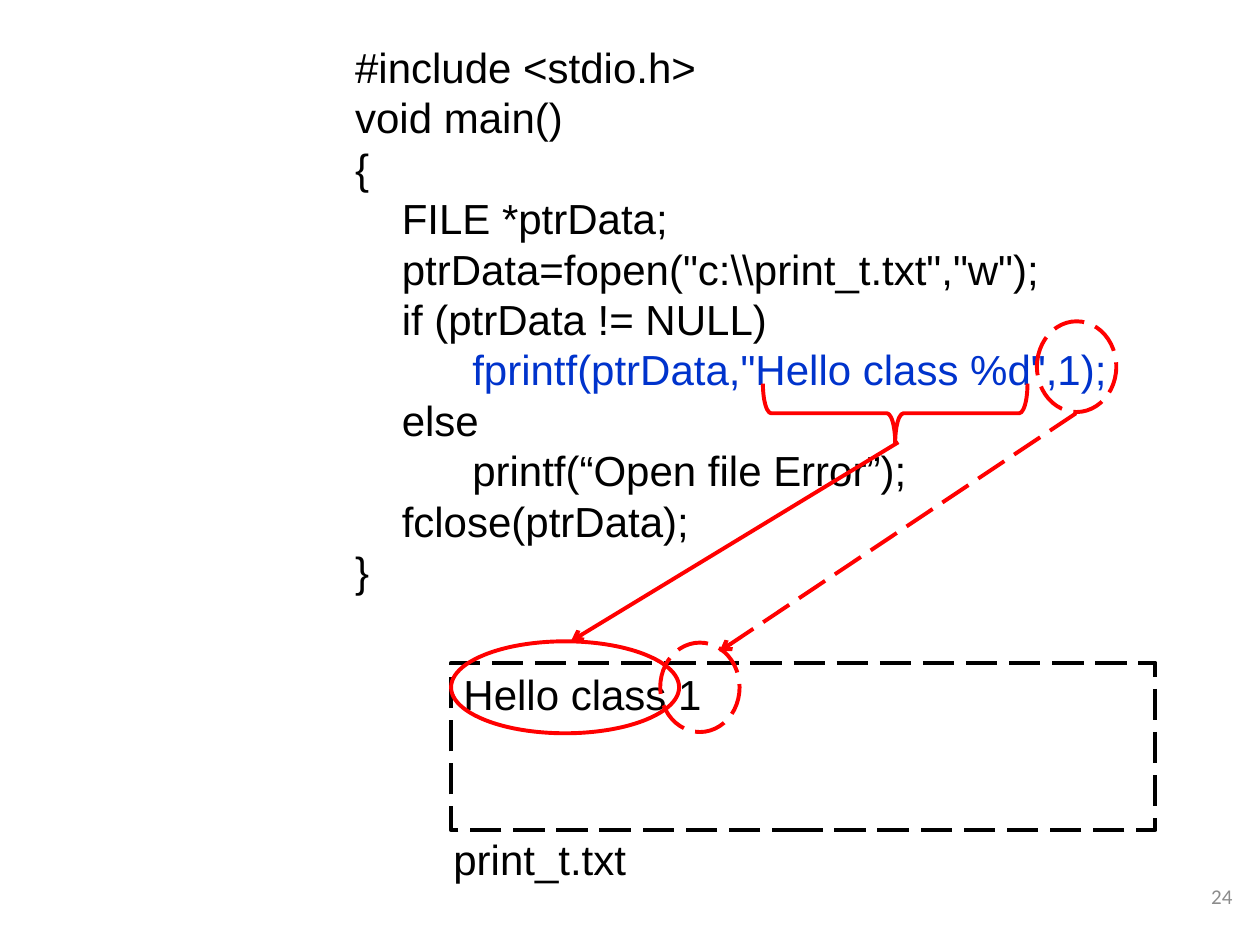
from dataclasses import dataclass

from lxml.etree import SubElement
from pptx import Presentation
from pptx.dml.color import RGBColor
from pptx.enum.dml import MSO_LINE_DASH_STYLE as Dash
from pptx.enum.shapes import MSO_CONNECTOR as Connector, MSO_SHAPE as Shape
from pptx.enum.text import MSO_ANCHOR as Anchor, PP_ALIGN as Align
from pptx.oxml.ns import qn
from pptx.util import Inches, Pt


@dataclass(frozen=True)
class Theme:
    """Colours, fonts and sizes of the slide."""
    ink: RGBColor = RGBColor(0, 0, 0)
    paper: RGBColor = RGBColor(255, 255, 255)
    call: RGBColor = RGBColor(0x00, 0x33, 0xCC)
    mark: RGBColor = RGBColor(255, 0, 0)
    muted: RGBColor = RGBColor(0x8C, 0x8C, 0x8C)
    code_font: str = "Arial"
    number_font: str = "Calibri"
    code_size: float = 24
    number_size: float = 12
    line_width: float = 2.25


THEME = Theme()
INDENTS = (0, 0.37, 0.93)

# Indent level, code, colour
CODE = [
    (0, "#include <stdio.h>", THEME.ink),
    (0, "void main()", THEME.ink),
    (0, "{", THEME.ink),
    (1, "FILE *ptrData;", THEME.ink),
    (1, 'ptrData=fopen("c:\\\\print_t.txt","w");', THEME.ink),
    (1, "if (ptrData != NULL)", THEME.ink),
    (2, 'fprintf(ptrData,"Hello class %d",1);', THEME.call),
    (1, "else", THEME.ink),
    (2, "printf(“Open file Error”);", THEME.ink),
    (1, "fclose(ptrData);", THEME.ink),
    (0, "}", THEME.ink),
]


def style_line(line, color, dashed=False):
    """Give a line its colour, the common width and an optional dash."""
    line.color.rgb = color
    line.width = Pt(THEME.line_width)
    if dashed:
        line.dash_style = Dash.LONG_DASH


def style_text(paragraph, color=THEME.ink, font=THEME.code_font,
               size=THEME.code_size):
    """Format all runs of a paragraph."""
    for run in paragraph.runs:
        run.font.name = font
        run.font.size = Pt(size)
        run.font.color.rgb = color


def add_text(slide, box, lines, filled=False):
    """Add a wrapped text box with indented, coloured lines."""
    panel = slide.shapes.add_textbox(*map(Inches, box))
    if filled:
        panel.fill.solid()
        panel.fill.fore_color.rgb = THEME.paper
    frame = panel.text_frame
    frame.word_wrap = True
    for index, (level, text, color) in enumerate(lines):
        paragraph = frame.add_paragraph() if index else frame.paragraphs[0]
        paragraph.text = text
        if level:
            properties = paragraph._p.get_or_add_pPr()
            properties.set("marL", str(Inches(INDENTS[level])))
            properties.set("indent", "0")
        style_text(paragraph, color)
    return panel


def add_mark(slide, kind, box, dashed=False):
    """Add an unfilled red outline that marks a piece of text."""
    mark = slide.shapes.add_shape(kind, *map(Inches, box))
    mark.shadow.inherit = False
    mark.fill.background()
    style_line(mark.line, THEME.mark, dashed)
    return mark


def add_arrow(slide, start, end, dashed=False):
    """Add a straight red arrow from start to end."""
    arrow = slide.shapes.add_connector(
        Connector.STRAIGHT, *map(Inches, (*start, *end)))
    style_line(arrow.line, THEME.mark, dashed)
    SubElement(arrow.line._get_or_add_ln(), qn("a:tailEnd"), type="arrow")
    SubElement(arrow._element.spPr, qn("a:effectLst"))


def add_slide_number(slide, number):
    """Add the page number in the bottom right corner."""
    page = add_text(slide, (9.38, 6.85, 0.5, 0.52),
                    [(0, number, THEME.muted)])
    page.text_frame.vertical_anchor = Anchor.MIDDLE
    paragraph = page.text_frame.paragraphs[0]
    paragraph.alignment = Align.RIGHT
    style_text(paragraph, THEME.muted, THEME.number_font, THEME.number_size)


def main():
    """Build the fprintf example and save it."""
    deck = Presentation()
    deck.slide_width, deck.slide_height = Inches(10), Inches(7.5)
    slide = deck.slides.add_slide(deck.slide_layouts[6])

    add_slide_number(slide, "24")
    add_text(slide, (2.72, 0.28, 6.85, 4.49), CODE, filled=True)
    file_content = add_text(slide, (3.58, 5.26, 5.59, 1.33),
                            [(0, "Hello class 1", THEME.ink)], filled=True)
    style_line(file_content.line, THEME.ink, dashed=True)
    add_text(slide, (3.5, 6.57, 1.81, 0.5), [(0, "print_t.txt", THEME.ink)])

    add_mark(slide, Shape.OVAL, (3.58, 5.09, 1.81, 0.73))
    brace = add_mark(slide, Shape.LEFT_BRACE, (6.87, 2.23, 0.47, 2.1))
    brace.rotation = 270
    brace.adjustments[0], brace.adjustments[1] = 0.14, 0.5
    add_arrow(slide, (7.13, 3.51), (4.53, 5.09))

    add_mark(slide, Shape.OVAL, (5.24, 5.1, 0.63, 0.71), dashed=True)
    add_arrow(slide, (8.54, 3.28), (5.71, 5.17), dashed=True)
    add_mark(slide, Shape.OVAL, (8.23, 2.55, 0.63, 0.72), dashed=True)

    deck.save("out.pptx")


main()
